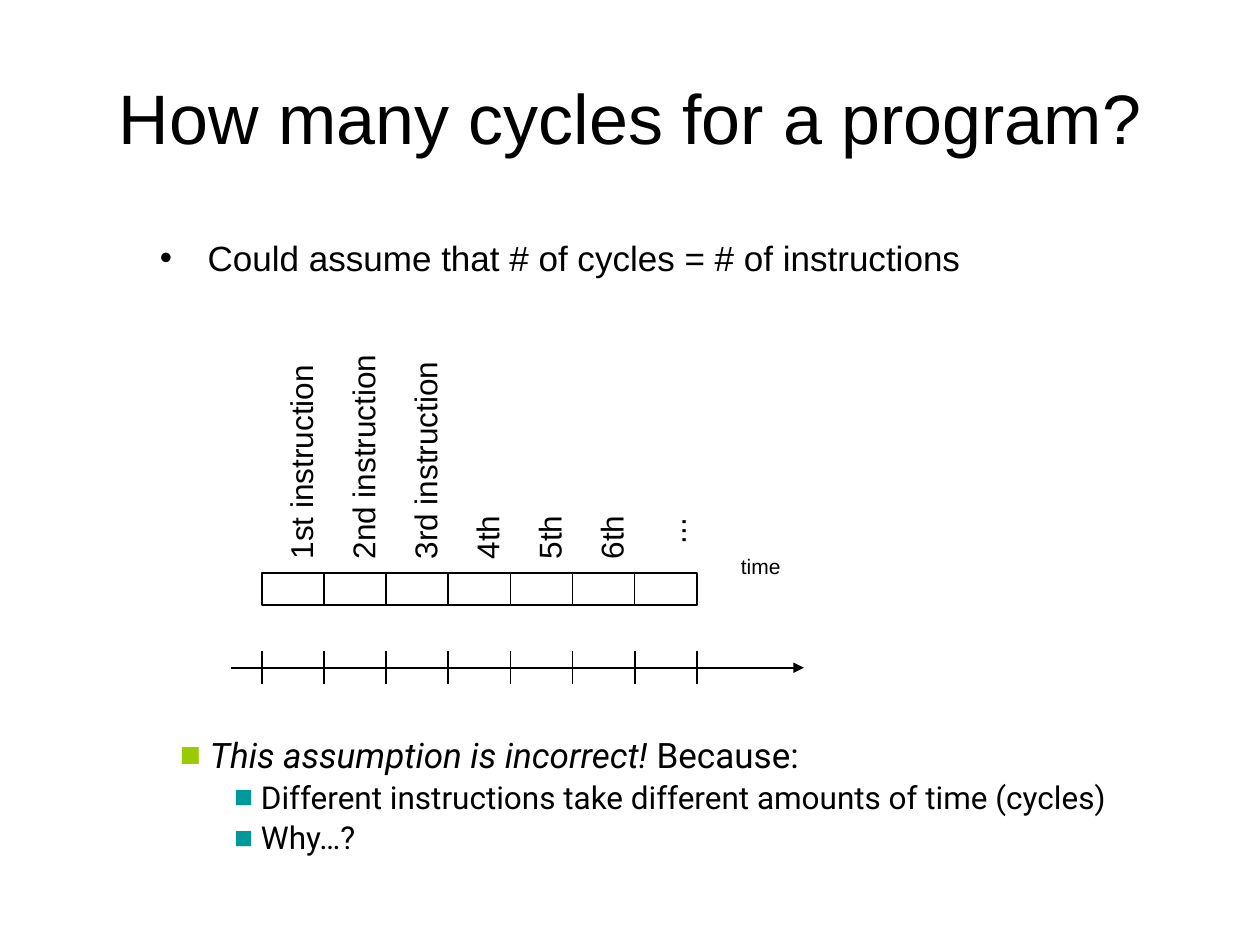
from lxml.etree import SubElement
from pptx import Presentation
from pptx.dml.color import RGBColor
from pptx.enum.shapes import MSO_CONNECTOR as CONN, MSO_SHAPE as SHAPE
from pptx.enum.text import MSO_ANCHOR as ANCHOR, PP_ALIGN as ALIGN
from pptx.oxml.ns import qn
from pptx.util import Inches, Pt

BLACK, WHITE, GREEN, TEAL = "000000", "FFFFFF", "99CC00", "009999"
LABELS = ["1st instruction", "2nd instruction", "3rd instruction",
          "4th", "5th", "6th", "..."]
LEFT, RIGHT = 2.08, 5.53
PITCH = (RIGHT - LEFT) / len(LABELS)
AXIS_Y, TICK = 5.3, 0.13
BODY_INSET, LABEL_INSET = (0.1, 0.05), (0.02, 0.03)


def rgb(value):
    return RGBColor.from_string(value)


class Deck:
    """Holds the drawing style and the current slide."""
    font = "Arial"
    ink = BLACK
    weight = Pt(1)

    def __init__(self, prs):
        self.s = prs.slides.add_slide(prs.slide_layouts[6])

    def box(self, x, y, w, h, inset=BODY_INSET, anchor=ANCHOR.TOP, rotation=0):
        sp = self.s.shapes.add_textbox(Inches(x), Inches(y), Inches(w), Inches(h))
        sp.rotation = rotation
        tf = sp.text_frame
        tf.word_wrap = True
        tf.vertical_anchor = anchor
        tf.margin_left = tf.margin_right = Inches(inset[0])
        tf.margin_top = tf.margin_bottom = Inches(inset[1])
        return tf

    def para(self, p, runs, size, font=None, align=ALIGN.LEFT, spacing=1.0, before=0):
        """Fill a paragraph from (text, italic) pairs."""
        p.alignment = align
        p.line_spacing = spacing
        p.space_before = Pt(before)
        for text, italic in runs:
            r = p.add_run()
            r.text = text
            r.font.size = Pt(size)
            r.font.name = font or self.font
            r.font.italic = italic
            r.font.color.rgb = rgb(self.ink)

    def bullet(self, p, char, color, margin, indent):
        pPr = p._p.get_or_add_pPr()
        pPr.set("marL", str(Inches(margin)))
        pPr.set("indent", str(Inches(indent)))
        SubElement(SubElement(pPr, qn("a:buClr")), qn("a:srgbClr"), val=color)
        SubElement(pPr, qn("a:buFont"), typeface=self.font)
        SubElement(pPr, qn("a:buChar"), char=char)

    def label(self, text, x, y, w, h, size, rotation=0):
        tf = self.box(x, y, w, h, LABEL_INSET, rotation=rotation)
        self.para(tf.paragraphs[0], [(text, False)], size, spacing=1.17)

    def upright_label(self, text, center, bottom, length, thickness=0.43):
        """Text that reads upwards from bottom."""
        self.label(text, center - length / 2, bottom - (length + thickness) / 2,
                   length, thickness, 18, rotation=270)

    def cell(self, x, y, w, h):
        sp = self.s.shapes.add_shape(SHAPE.RECTANGLE, Inches(x), Inches(y),
                                     Inches(w), Inches(h))
        sp.shadow.inherit = False
        sp.fill.solid()
        sp.fill.fore_color.rgb = rgb(WHITE)
        sp.line.color.rgb = rgb(self.ink)
        sp.line.width = self.weight

    def line(self, x1, y1, x2, y2, arrow=False):
        c = self.s.shapes.add_connector(CONN.STRAIGHT, Inches(x1), Inches(y1),
                                        Inches(x2), Inches(y2))
        c.line.color.rgb = rgb(self.ink)
        c.line.width = self.weight
        if arrow:
            SubElement(c.line._get_or_add_ln(), qn("a:tailEnd"), type="triangle")
        SubElement(c._element.spPr, qn("a:effectLst"))


def main():
    prs = Presentation()
    prs.slide_width, prs.slide_height = Inches(10), Inches(7.5)
    deck = Deck(prs)

    tf = deck.box(0.5, 0.3, 9, 1.25, anchor=ANCHOR.MIDDLE)
    deck.para(tf.paragraphs[0], [("How many cycles for a program?", False)], 40,
              align=ALIGN.CENTER)

    p = deck.box(1.17, 1.83, 8.5, 0.6).paragraphs[0]
    deck.para(p, [("Could assume that # of cycles = # of instructions", False)], 20)
    deck.bullet(p, "•", BLACK, 0.38, -0.38)

    deck.label("time", 5.86, 4.33, 0.77, 0.33, 12)
    deck.line(1.83, AXIS_Y, 6.38, AXIS_Y, arrow=True)
    for i in range(len(LABELS) + 1):
        x = LEFT + i * PITCH
        deck.line(x, AXIS_Y + TICK, x, AXIS_Y - TICK)
    for i, text in enumerate(LABELS):
        x = LEFT + i * PITCH
        deck.cell(x, 4.55, PITCH, 0.25)
        deck.upright_label(text, x + 0.29, 4.34 if text == "..." else 4.46,
                           1.8 if "instruction" in text else 0.67)

    tf = deck.box(1.33, 5.64, 7.55, 1.23)
    p = tf.paragraphs[0]
    deck.para(p, [(" ", False), ("This assumption is incorrect!", True),
                  (" Because:", False)], 20, "Roboto", spacing=1.4)
    deck.bullet(p, "■", GREEN, 0, -0.08)
    for text in (" Different instructions take different amounts of time (cycles)",
                 " Why…?"):
        p = tf.add_paragraph()
        p.level = 1
        deck.para(p, [(text, False)], 18, "Roboto", spacing=0.9, before=3.6)
        deck.bullet(p, "■", TEAL, 0.5, -0.07)

    prs.save("out.pptx")


if __name__ == "__main__":
    main()
